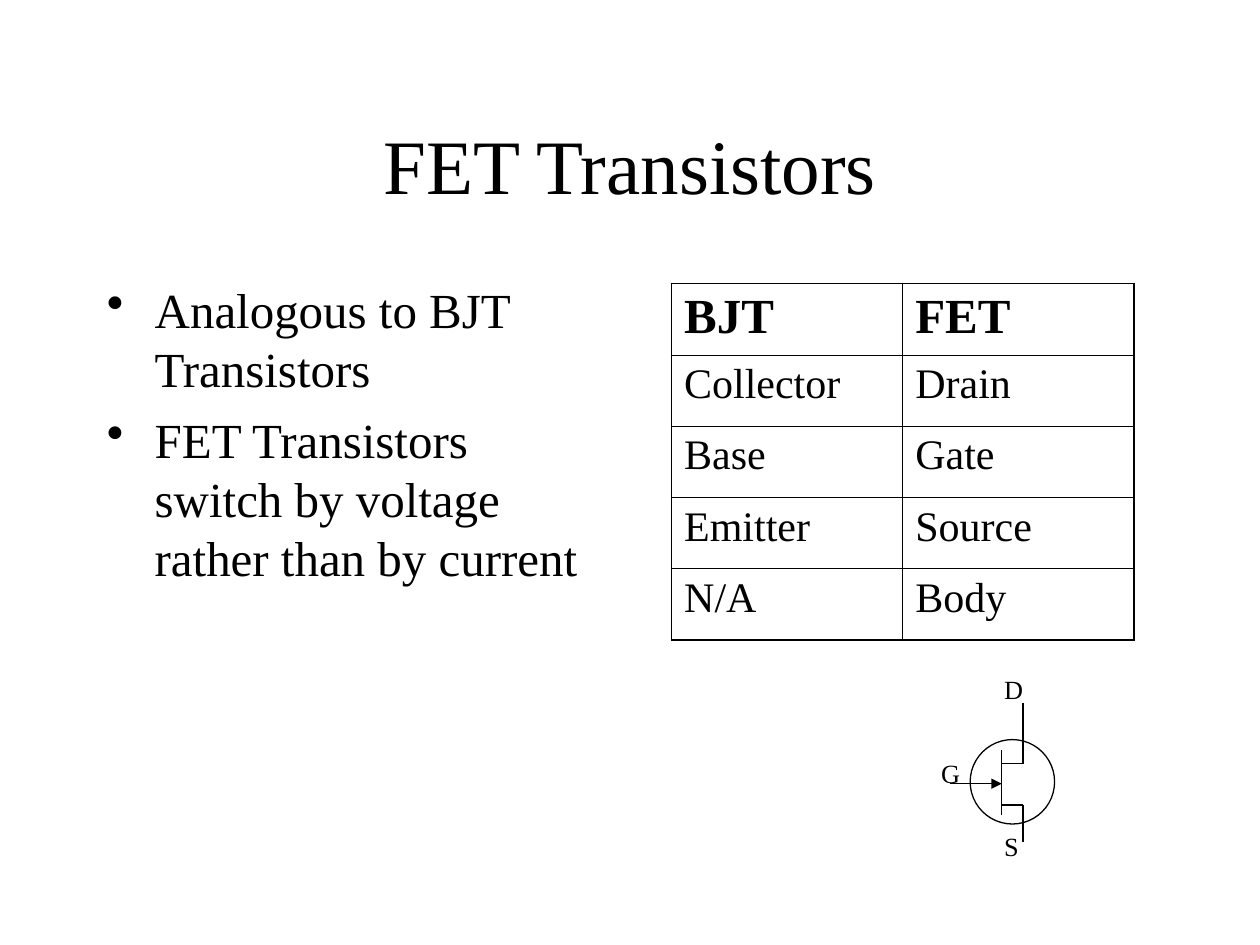
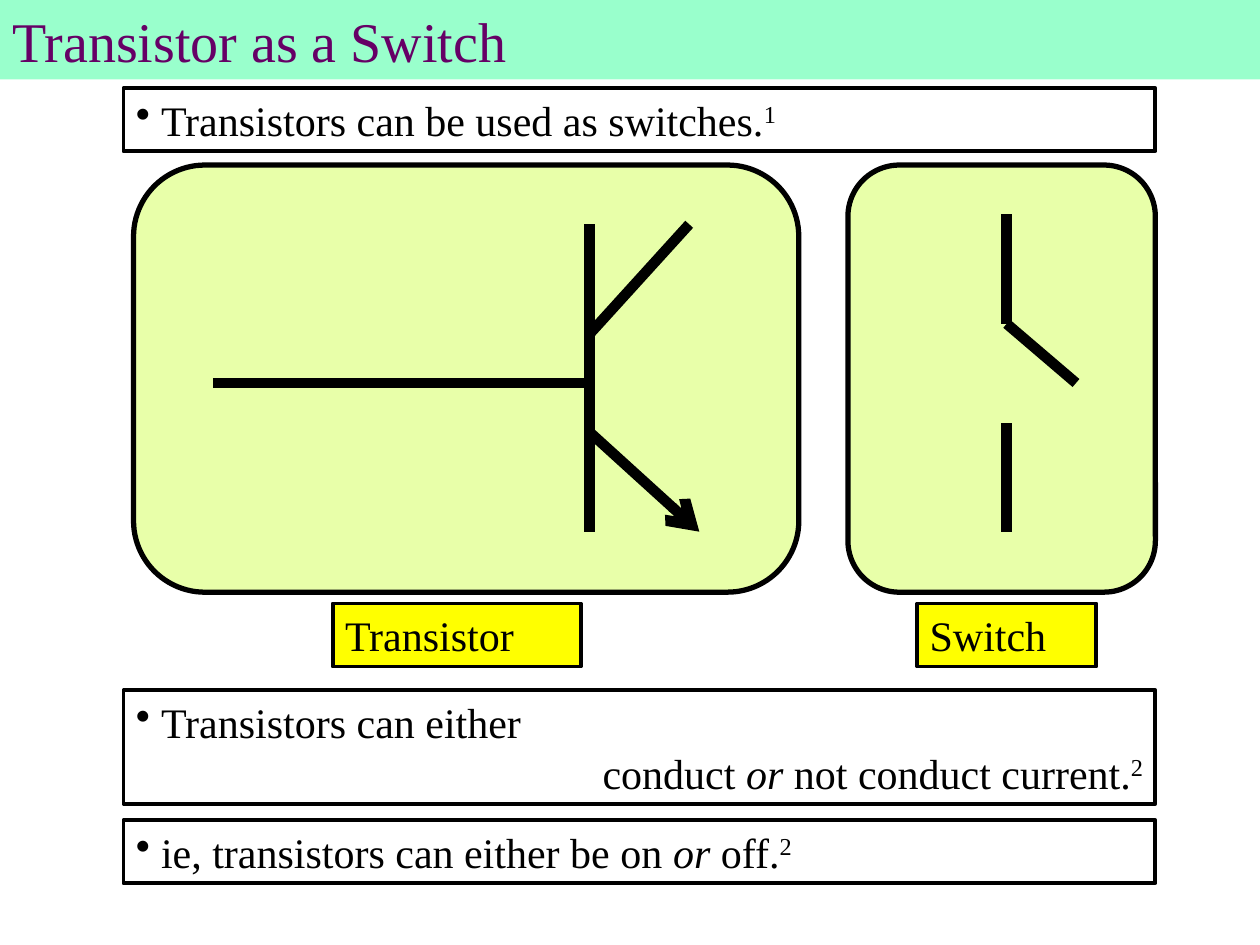
from lxml import etree
from pptx import Presentation
from pptx import util as u
from pptx.dml.color import RGBColor
from pptx.enum import shapes, text
from pptx.oxml.ns import qn

BLACK, WHITE = "000000", "FFFFFF"
MINT, PURPLE = "99FFCC", "660066"
LIME, YELLOW = "E8FFA9", "FFFF00"
FONT = "Times New Roman"


def rgb(value):
    return RGBColor.from_string(value)


class Deck:
    def __init__(self):
        self.prs = Presentation()
        self.prs.slide_width = u.Inches(10)
        self.prs.slide_height = u.Inches(7.5)
        self.slide = None

    def new_slide(self):
        self.slide = self.prs.slides.add_slide(self.prs.slide_layouts[6])
        self.slide.background.fill.solid()
        self.slide.background.fill.fore_color.rgb = rgb(WHITE)

    def run(self, paragraph, words, size, color=BLACK, bold=False, style=None):
        run = paragraph.add_run()
        run.text = words
        run.font.name = FONT
        run.font.size = u.Pt(size)
        run.font.bold = bold
        run.font.italic = style == "italic"
        run.font.color.rgb = rgb(color)
        if style == "super":
            run.font._element.set("baseline", "30000")

    def bullet(self, paragraph, indent):
        props = paragraph._p.get_or_add_pPr()
        props.set("marL", str(u.Inches(indent)))
        props.set("indent", str(-u.Inches(indent)))
        etree.SubElement(props, qn("a:buChar")).set("char", "•")

    def paragraphs(self, frame, paragraphs, size, color=BLACK, align="LEFT",
                   anchor="TOP", indent=0, gap=0):
        frame.word_wrap = True
        frame.vertical_anchor = getattr(text.MSO_ANCHOR, anchor)
        for index, runs in enumerate(paragraphs):
            paragraph = frame.add_paragraph() if index else frame.paragraphs[0]
            paragraph.alignment = getattr(text.PP_ALIGN, align)
            if indent:
                self.bullet(paragraph, indent)
            if index and gap:
                paragraph.space_before = u.Pt(gap)
            for words, style in runs:
                self.run(paragraph, words, size, color, style=style)

    def text(self, at, paragraphs, size, **options):
        box = self.slide.shapes.add_textbox(*map(u.Inches, at))
        self.paragraphs(box.text_frame, paragraphs, size, **options)

    def shape(self, kind, at, fill=None, width=0):
        shape = self.slide.shapes.add_shape(
            getattr(shapes.MSO_SHAPE, kind), *map(u.Inches, at))
        shape.shadow.inherit = False
        if fill:
            shape.fill.solid()
            shape.fill.fore_color.rgb = rgb(fill)
        else:
            shape.fill.background()
        if width:
            shape.line.color.rgb = rgb(BLACK)
            shape.line.width = u.Pt(width)
        else:
            shape.line.fill.background()
        return shape

    def panel(self, at):
        self.shape("ROUNDED_RECTANGLE", at, LIME, 3).adjustments[0] = 0.167

    def framed(self, at, paragraphs, fill=None, indent=0):
        box = self.shape("RECTANGLE", at, fill, 2.25)
        self.paragraphs(box.text_frame, paragraphs, 24, indent=indent)
        return box

    def line(self, ends, width, arrow=None):
        line = self.slide.shapes.add_connector(
            shapes.MSO_CONNECTOR.STRAIGHT, *map(u.Inches, ends))
        line.line.color.rgb = rgb(BLACK)
        line.line.width = u.Pt(width)
        if arrow:
            tail = etree.SubElement(line.line._get_or_add_ln(), qn("a:tailEnd"))
            tail.set("type", arrow)
        etree.SubElement(line._element.spPr, qn("a:effectLst"))

    def border(self, cell, side, width):
        edge = etree.SubElement(cell._tc.get_or_add_tcPr(), qn("a:ln" + side))
        edge.set("w", str(u.Pt(width)))
        fill = etree.SubElement(edge, qn("a:solidFill"))
        etree.SubElement(fill, qn("a:srgbClr")).set("val", BLACK)

    def table(self, at, rows):
        last_row, last_col = len(rows) - 1, len(rows[0]) - 1
        table = self.slide.shapes.add_table(
            len(rows), len(rows[0]), *map(u.Inches, at)).table
        table.first_row = table.horz_banding = False
        for r, row in enumerate(rows):
            for c, words in enumerate(row):
                cell = table.cell(r, c)
                outer = {"L": c == 0, "R": c == last_col,
                         "T": r == 0, "B": r == last_row}
                for side, is_outer in outer.items():
                    self.border(cell, side, 1.08 if is_outer else 0.45)
                cell.fill.background()
                self.run(cell.text_frame.paragraphs[0], words,
                         24 if r else 28, bold=r == 0)


def plain(words):
    return [(words, None)]


def fet_slide(deck):
    deck.new_slide()
    deck.text((0.75, 0.67, 8.5, 1.25), [plain("FET Transistors")], 44,
              align="CENTER", anchor="MIDDLE")
    deck.text((0.75, 2.17, 4.17, 4.5),
              [plain("Analogous to BJT Transistors"),
               plain("FET Transistors switch by voltage rather than by current")],
              28, indent=0.38, gap=7)
    deck.table((5.33, 2.25, 3.67, 2.83),
               [("BJT", "FET"), ("Collector", "Drain"), ("Base", "Gate"),
                ("Emitter", "Source"), ("N/A", "Body")])

    channel, lead = 7.95, 8.12
    deck.shape("OVAL", (7.7, 5.87, 0.67, 0.67), width=0.75)
    deck.line((channel, 5.95, channel, 6.47), 0.75)
    deck.line((7.54, 6.22, channel, 6.22), 0.75, "triangle")
    for joint, terminal in ((6.39, 6.68), (6.06, 5.58)):
        deck.line((channel, joint, lead, joint), 0.75)
        deck.line((lead, joint, lead, terminal), 0.75)
    for name, left, top in (("S", 7.87, 6.54), ("G", 7.37, 5.96), ("D", 7.87, 5.29)):
        deck.text((left, top, 0.58, 0.35), [plain(name)], 15)


def switch_slide(deck):
    deck.new_slide()
    band = deck.shape("RECTANGLE", (0, 0, 10, 0.63), MINT)
    deck.paragraphs(band.text_frame, [plain("Transistor as a Switch")], 32, PURPLE)

    for left, width in ((1.06, 5.28), (6.73, 2.44)):
        deck.panel((left, 1.31, width, 3.39))

    base, contact = 4.68, 7.99
    deck.line((base, 1.78, base, 4.22), 6)
    deck.line((1.69, 3.04, base, 3.04), 6)
    deck.line((base, 3.43, 5.55, 4.22), 6, "arrow")
    deck.line((5.47, 1.78, base, 2.65), 6)
    deck.line((contact, 1.7, contact, 2.57), 6)
    deck.line((contact, 3.36, contact, 4.22), 6)
    deck.line((contact, 2.57, 8.54, 3.04), 6)

    for name, left, width in (("Transistor", 2.64, 1.97), ("Switch", 7.28, 1.42)):
        deck.framed((left, 4.79, width, 0.5), [plain(name)], YELLOW)

    left, width, indent = 0.98, 8.19, 0.2
    deck.framed((left, 0.7, width, 0.5),
                [[("Transistors can be used as switches.", None), ("1", "super")]],
                indent=indent)
    states = deck.framed((left, 5.48, width, 0.9),
                         [plain("Transistors can either")], indent=indent)
    outcome = states.text_frame.add_paragraph()
    outcome.alignment = text.PP_ALIGN.RIGHT
    for words, style in (("conduct ", None), ("or ", "italic"),
                         ("not conduct current.", None), ("2", "super")):
        deck.run(outcome, words, 24, style=style)
    deck.framed((left, 6.51, width, 0.5),
                [[("ie, transistors can either be on ", None), ("or ", "italic"),
                  ("off.", None), ("2", "super")]],
                indent=indent)


def main():
    deck = Deck()
    fet_slide(deck)
    switch_slide(deck)
    deck.prs.save("out.pptx")


if __name__ == "__main__":
    main()
